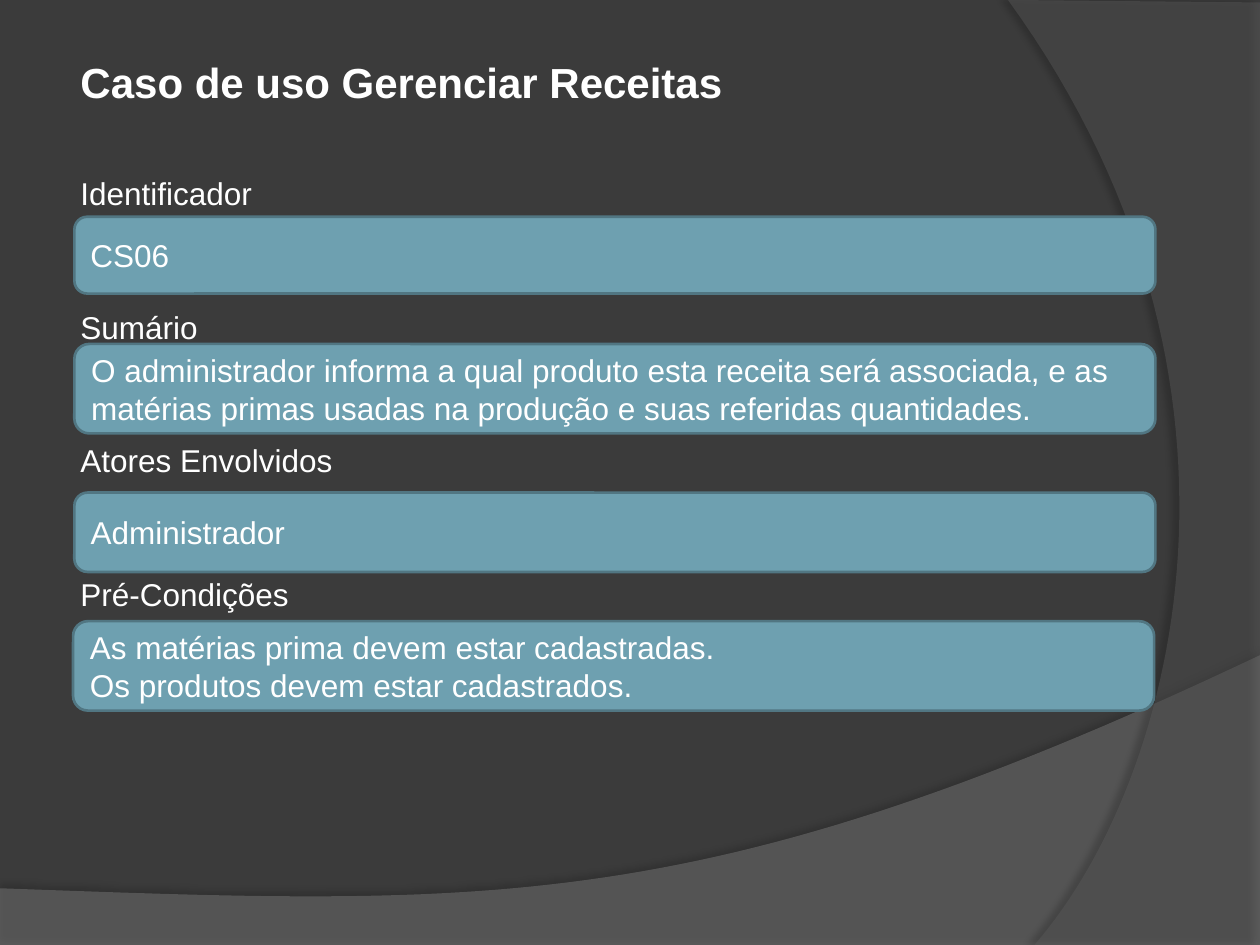
from lxml.etree import SubElement
from pptx import Presentation
from pptx.dml.color import RGBColor
from pptx.enum.shapes import MSO_SHAPE
from pptx.enum.text import MSO_ANCHOR, PP_ALIGN
from pptx.oxml.ns import qn
from pptx.util import Inches, Pt

THEME = {
    "font": "Arial", "title": Pt(24), "body": Pt(18),
    "bg": RGBColor.from_string("3B3B3B"), "text": RGBColor.from_string("FFFFFF"),
    "box": RGBColor.from_string("6EA0B0"), "edge": RGBColor.from_string("517682"),
    "wave": RGBColor.from_string("7F7F7F"), "arc": RGBColor.from_string("5E5E5E"),
}


def curve(a, b, c, d, steps=60):
    for i in range(1, steps + 1):
        t = i / steps
        u = 1 - t
        yield tuple(u**3 * k + 3 * u * u * t * m + 3 * u * t * t * n + t**3 * q
                    for k, m, n, q in zip(a, b, c, d))


def write(p, text, size, bold=False):
    p.text = text
    p.alignment = PP_ALIGN.LEFT
    for r in p.runs:
        r.font.name = THEME["font"]
        r.font.size = size
        r.font.bold = bold
        r.font.color.rgb = THEME["text"]


prs = Presentation()
prs.slide_width, prs.slide_height = Inches(10), Inches(7.5)
col = prs.slide_width / 100
row = prs.slide_height / 75
s = prs.slides.add_slide(prs.slide_layouts[6])
s.background.fill.solid()
s.background.fill.fore_color.rgb = THEME["bg"]

wave = [(0, 70.5), (0, 75.1), (100, 75.1), (100, 52),
        *curve((100, 52), (55.9, 72.9), (39.1, 71.9), (0, 70.5))]
arc = [(100, 0.2), (100, 75), (82.1, 75),
       *curve((82.1, 75), (93.5, 61.9), (101.8, 30), (80, 0))]

for points, color, alpha, shade, dist, angle in [
    (wave, THEME["wave"], 45, 35, 3.5, 270),
    (arc, THEME["arc"], 40, 45, 4, 180),
]:
    path = [(round(x * col), round(y * row)) for x, y in points]
    builder = s.shapes.build_freeform(*path[0])
    builder.add_line_segments(path[1:], close=True)
    sp = builder.convert_to_shape()
    sp.fill.solid()
    sp.fill.fore_color.rgb = color
    sp.line.fill.background()
    sp.shadow.inherit = False
    props = sp.element.spPr
    fill = props.find(qn("a:solidFill"))
    SubElement(fill[0], qn("a:alpha"), val=str(alpha * 1000))
    shadow = SubElement(props.find(qn("a:effectLst")), qn("a:outerShdw"),
                        blurRad=str(Pt(4)), dist=str(Pt(dist)),
                        dir=str(angle * 60000), algn="ctr", rotWithShape="0")
    black = SubElement(shadow, qn("a:srgbClr"), val="000000")
    SubElement(black, qn("a:alpha"), val=str(shade * 1000))

labels = s.shapes.add_textbox(round(5.4 * col), round(4 * row), round(89.5 * col), round(66.5 * row))
tf = labels.text_frame
tf.word_wrap = True
write(tf.paragraphs[0], "Caso de uso Gerenciar Receitas", THEME["title"], True)
for text, gap in [("Identificador", 38.5), ("Sumário", 54.7),
                  ("Atores Envolvidos", 54.7), ("Pré-Condições", 54.7)]:
    p = tf.add_paragraph()
    p.space_before = Pt(gap)
    write(p, text, THEME["body"])

for left, top, height, lines in [
    (5.9, 17.2, 6.1, ["CS06"]),
    (5.9, 27.3, 7.1, ["O administrador informa a qual produto esta receita será associada, "
                      "e as matérias primas usadas na produção e suas referidas quantidades."]),
    (5.9, 39.1, 6.3, ["Administrador"]),
    (5.8, 49.3, 7.1, ["As matérias prima devem estar cadastradas.",
                      "Os produtos devem estar cadastrados."]),
]:
    sp = s.shapes.add_shape(MSO_SHAPE.ROUNDED_RECTANGLE, round(left * col), round(top * row),
                            round(85.8 * col), round(height * row))
    sp.shadow.inherit = False
    sp.fill.solid()
    sp.fill.fore_color.rgb = THEME["box"]
    sp.line.color.rgb = THEME["edge"]
    sp.line.width = Pt(1.5)
    tf = sp.text_frame
    tf.word_wrap = True
    tf.vertical_anchor = MSO_ANCHOR.MIDDLE
    tf.text = "\n".join(lines)
    for p in tf.paragraphs:
        write(p, p.text, THEME["body"])

prs.save("out.pptx")
